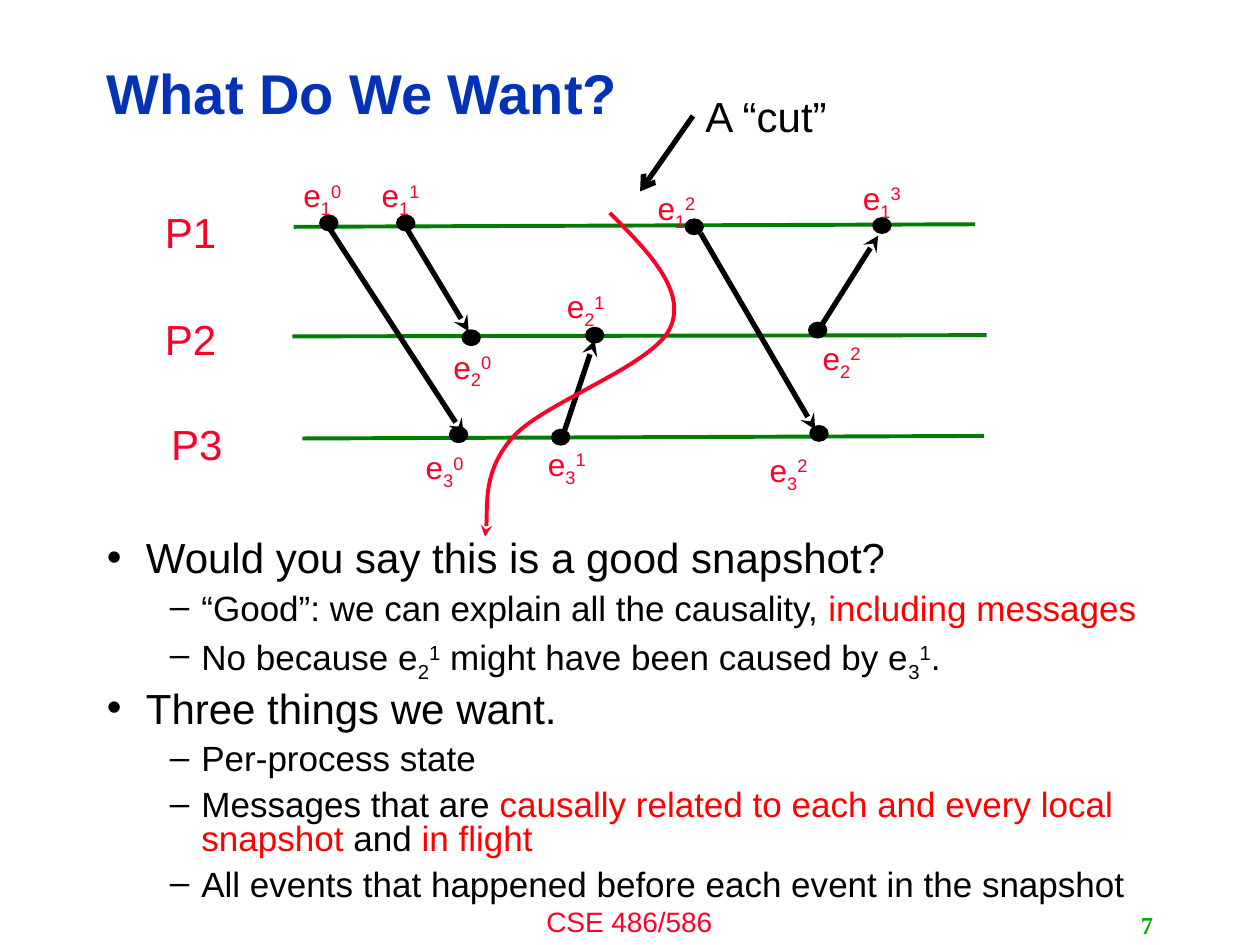
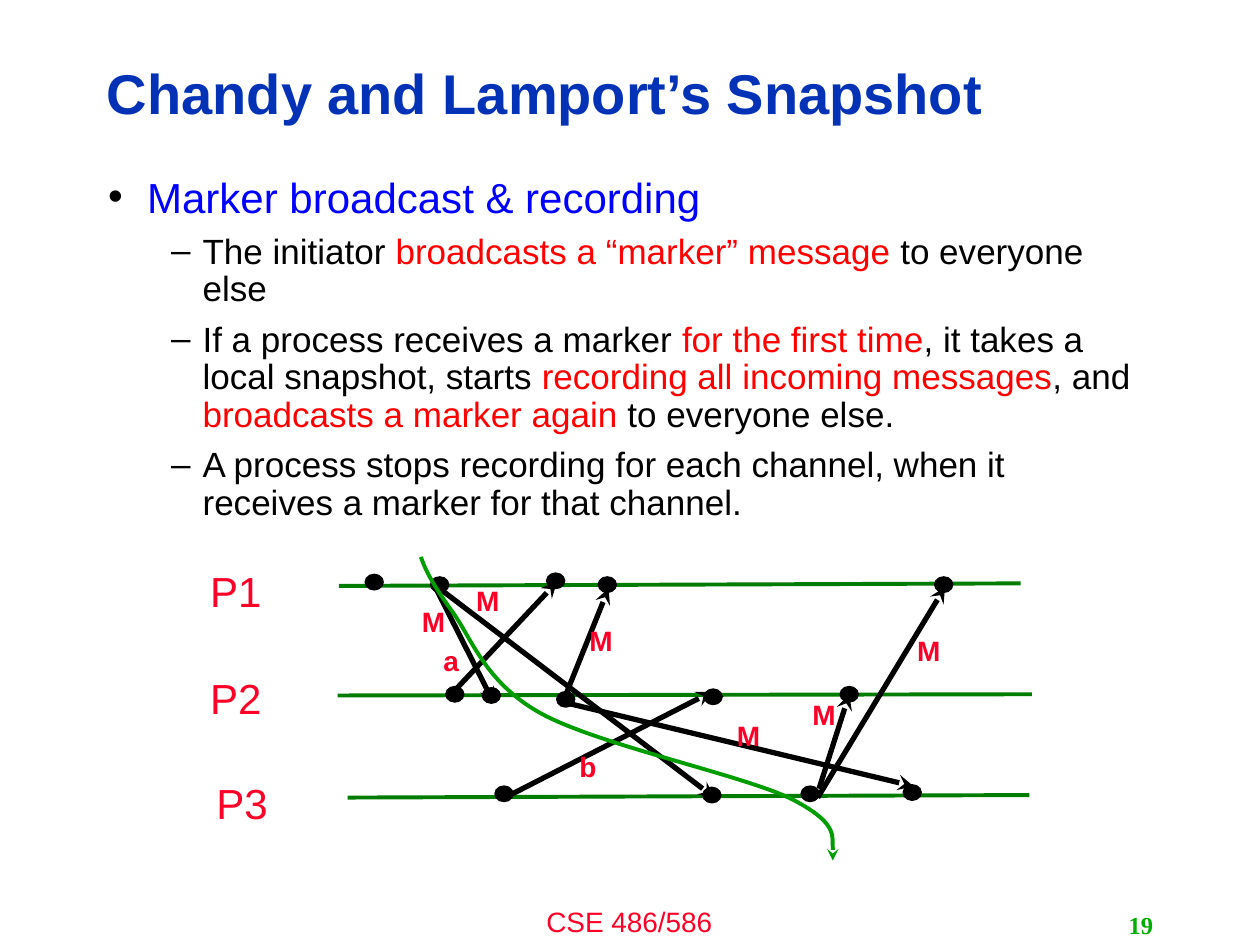
from lxml.etree import SubElement
from pptx import Presentation
from pptx.dml.color import RGBColor
from pptx.enum.shapes import MSO_CONNECTOR, MSO_SHAPE
from pptx.enum.text import MSO_ANCHOR, PP_ALIGN
from pptx.oxml.ns import qn
from pptx.util import Pt

PX = 9144  # EMU per px, 100 px to the inch
COLORS = {
    "title": "0332B7",
    "text": "000000",
    "hot": "FF0000",
    "topic": "0000FF",
    "label": "FC0128",
    "timeline": "037C03",
    "marker_cut": "009D00",
    "page": "00AE00",
}
BASELINES = {"sub": "-25000", "sup": "30000"}
# level: (margin, indent, bullet, size, space before)
LEVELS = [(31, -31, "•", 24, 8), (75, -25, "–", 20, 7)]
# process: label offset, line start and line end
TIMELINES = {
    "P1": ((1, -1), (113, 20), (654, 18)),
    "P2": ((1, 84), (112, 107), (663, 106)),
    "P3": ((6, 167), (120, 188), (661, 186)),
}


def color(name):
    return RGBColor.from_string(COLORS[name])


def add_run(paragraph, text, size, tint="text", bold=False, font="Arial", baseline=None):
    run = paragraph.add_run()
    run.text = text
    run.font.name = font
    run.font.size = Pt(size)
    run.font.bold = bold
    run.font.color.rgb = color(tint)
    if baseline:
        run.font._element.set("baseline", BASELINES[baseline])


def add_frame(slide, box, anchor=MSO_ANCHOR.TOP):
    frame = slide.shapes.add_textbox(*(v * PX for v in box)).text_frame
    frame.word_wrap = True
    frame.vertical_anchor = anchor
    return frame


def add_label(slide, box, text, size, tint="label", align=PP_ALIGN.LEFT,
              anchor=MSO_ANCHOR.TOP, **style):
    paragraph = add_frame(slide, box, anchor).paragraphs[0]
    paragraph.alignment = align
    add_run(paragraph, text, size, tint, **style)
    return paragraph


def style_line(shape, tint, width, arrow=None):
    shape.line.color.rgb = color(tint)
    shape.line.width = Pt(width)
    if arrow:
        SubElement(shape.line._get_or_add_ln(), qn("a:tailEnd"), type=arrow)


def add_line(slide, start, end, tint, width, arrow=None):
    line = slide.shapes.add_connector(
        MSO_CONNECTOR.STRAIGHT, *(v * PX for v in (*start, *end)))
    style_line(line, tint, width, arrow)
    SubElement(line._element.spPr, qn("a:effectLst"))


def add_curve(slide, points, tint):
    """Cubic curve: a start, then two control points and an end per segment."""
    builder = slide.shapes.build_freeform(*points[0], scale=PX)
    builder.add_line_segments(points[1:], close=False)
    curve = builder.convert_to_shape()
    outline = curve._element.find(".//" + qn("a:path"))
    steps = outline.findall(qn("a:lnTo"))
    for first in range(0, len(steps), 3):
        bezier = SubElement(outline, qn("a:cubicBezTo"))
        for step in steps[first:first + 3]:
            bezier.append(step[0])
            outline.remove(step)
    curve.fill.background()
    style_line(curve, tint, 2.25, "stealth")
    curve.shadow.inherit = False


def add_page(deck, title, number):
    """Blank slide with title, course footer and page number."""
    slide = deck.slides.add_slide(deck.slide_layouts[6])
    add_label(slide, (333, 713, 333, 37), "CSE 486/586", 16, align=PP_ALIGN.CENTER)
    heading = add_label(slide, (75, 36, 798, 81), title, 32, "title",
                        anchor=MSO_ANCHOR.MIDDLE, bold=True)
    heading.line_spacing = 0.9
    add_label(slide, (717, 718, 208, 32), str(number), 14, "page", PP_ALIGN.RIGHT,
              MSO_ANCHOR.MIDDLE, bold=True, font="Times New Roman")
    return slide


def add_bullets(slide, box, items):
    """Items are (level, line spacing, runs); a run is (text, style)."""
    frame = add_frame(slide, box)
    for index, (level, spacing, runs) in enumerate(items):
        paragraph = frame.paragraphs[0] if index == 0 else frame.add_paragraph()
        margin, indent, bullet, size, before = LEVELS[level]
        props = paragraph._p.get_or_add_pPr()
        props.set("marL", str(margin * PX))
        props.set("indent", str(indent * PX))
        tint = SubElement(props, qn("a:buClr"))
        SubElement(tint, qn("a:srgbClr"), val=COLORS["text"])
        SubElement(props, qn("a:buFont"), typeface="Arial")
        SubElement(props, qn("a:buChar"), char=bullet)
        paragraph.level = level
        paragraph.line_spacing = spacing
        if index:
            paragraph.space_before = Pt(before)
        for text, style in runs:
            if style in BASELINES:
                add_run(paragraph, text, size, baseline=style)
            else:
                add_run(paragraph, text, size, style)


def add_diagram(slide, origin, events, messages, cut, cut_tint):
    """Three timelines with events, messages and a cut; returns the placing rule."""
    def at(x, y):
        return origin[0] + x, origin[1] + y

    for process, (label, start, end) in TIMELINES.items():
        add_line(slide, at(*start), at(*end), "timeline", 2.25)
        add_label(slide, (*at(*label), 126, 46), process, 24)
    for x1, y1, x2, y2 in messages:
        add_line(slide, at(x1, y1), at(x2, y2), "text", 3, "stealth")
    for x, y in events:
        left, top = at(x - 7, y - 6)
        dot = slide.shapes.add_shape(
            MSO_SHAPE.OVAL, left * PX, top * PX, 14 * PX, 12 * PX)
        dot.fill.solid()
        dot.fill.fore_color.rgb = color("text")
        style_line(dot, "text", 1)
        dot.shadow.inherit = False
    add_curve(slide, [at(*point) for point in cut], cut_tint)
    return at


def build_goals(deck):
    slide = add_page(deck, "What Do We Want?", 7)
    add_bullets(slide, (75, 425, 840, 308), [
        (0, 0.8, [("Would you say this is a good snapshot?", "text")]),
        (1, 0.8, [("“Good”: we can explain all the causality, ", "text"),
                  ("including messages", "hot")]),
        (1, 0.8, [("No because e", "text"), ("2", "sub"), ("1", "sup"),
                  (" might have been caused by e", "text"), ("3", "sub"),
                  ("1", "sup"), (".", "text")]),
        (0, 0.8, [("Three things we want.", "text")]),
        (1, 0.8, [("Per-process state", "text")]),
        (1, 0.8, [("Messages that are ", "text"),
                  ("causally related to each and every local snapshot", "hot"),
                  (" and ", "text"), ("in flight", "hot")]),
        (1, 0.8, [("All events that happened before each event in the snapshot", "text")]),
    ])
    at = add_diagram(
        slide, (120, 160),
        events=[(141, 17), (202, 17), (431, 20), (580, 19),
                (254, 108), (352, 106), (529, 102),
                (244, 185), (325, 187), (530, 184)],
        messages=[(142, 22, 248, 185), (202, 20, 252, 103), (327, 185, 352, 110),
                  (529, 103, 577, 27), (436, 25, 527, 181)],
        cut=[(364, 9), (395, 40), (425, 71), (412, 100), (399, 130), (312, 159),
             (287, 187), (263, 214), (268, 253), (265, 266)],
        cut_tint="label")

    # Event names, in order along each process
    names = {
        1: [(111, -25), (173, -25), (392, -15), (555, -23)],
        2: [(230, 111), (320, 63), (523, 104)],
        3: [(208, 191), (305, 188), (481, 193)],
    }
    for process, places in names.items():
        for count, place in enumerate(places):
            name = add_label(slide, (*at(*place), 61, 37), "e", 18)
            add_run(name, str(process), 18, "label", baseline="sub")
            add_run(name, str(count), 18, "label", baseline="sup")

    # Callout for the cut
    add_label(slide, (*at(430, -93), 130, 50), "A “cut”", 24, "text")
    add_line(slide, at(430, -68), at(388, -8), "text", 3, "arrow")


def build_algorithm(deck):
    slide = add_page(deck, "Chandy and Lamport’s Snapshot", 19)
    add_bullets(slide, (76, 131, 840, 539), [
        (0, 1.0, [("Marker broadcast & recording", "topic")]),
        (1, 0.9, [("The initiator ", "text"), ("broadcasts a “marker” message", "hot"),
                  (" to everyone else", "text")]),
        (1, 0.9, [("If a process receives a marker ", "text"),
                  ("for the first time", "hot"),
                  (", it takes a local snapshot, starts ", "text"),
                  ("recording all incoming messages", "hot"), (", and ", "text"),
                  ("broadcasts a marker again", "hot"),
                  (" to everyone else.", "text")]),
        (1, 0.9, [("A process stops recording for each channel, when it receives "
                   "a marker for that channel.", "text")]),
    ])
    at = add_diagram(
        slide, (156, 445),
        events=[(141, 17), (193, 19), (285, 16), (326, 19), (593, 19),
                (205, 106), (234, 107), (293, 110), (410, 108), (518, 106),
                (244, 185), (409, 186), (487, 185), (568, 184)],
        messages=[(204, 104, 286, 17), (243, 189, 409, 104), (190, 22, 236, 113),
                  (294, 104, 327, 22), (194, 23, 411, 188), (294, 113, 569, 179),
                  (494, 181, 518, 106), (493, 188, 594, 21)],
        cut=[(178, -3), (182, 8), (187, 18), (202, 39), (218, 60), (228, 96),
             (273, 121), (318, 146), (433, 170), (472, 189), (511, 209),
             (505, 238), (505, 238)],
        cut_tint="marker_cut")

    # Message names: a and b are plain messages, M is a marker
    names = {
        "a": [(186, 61)],
        "b": [(294, 145)],
        "M": [(169, 30), (302, 45), (212, 13), (419, 120), (562, 53), (479, 104)],
    }
    for name, places in names.items():
        for place in places:
            add_label(slide, (*at(*place), 40, 34), name, 16, bold=True)


def main():
    deck = Presentation()
    deck.slide_width = 1000 * PX
    deck.slide_height = 750 * PX
    build_goals(deck)
    build_algorithm(deck)
    deck.save("out.pptx")


if __name__ == "__main__":
    main()
